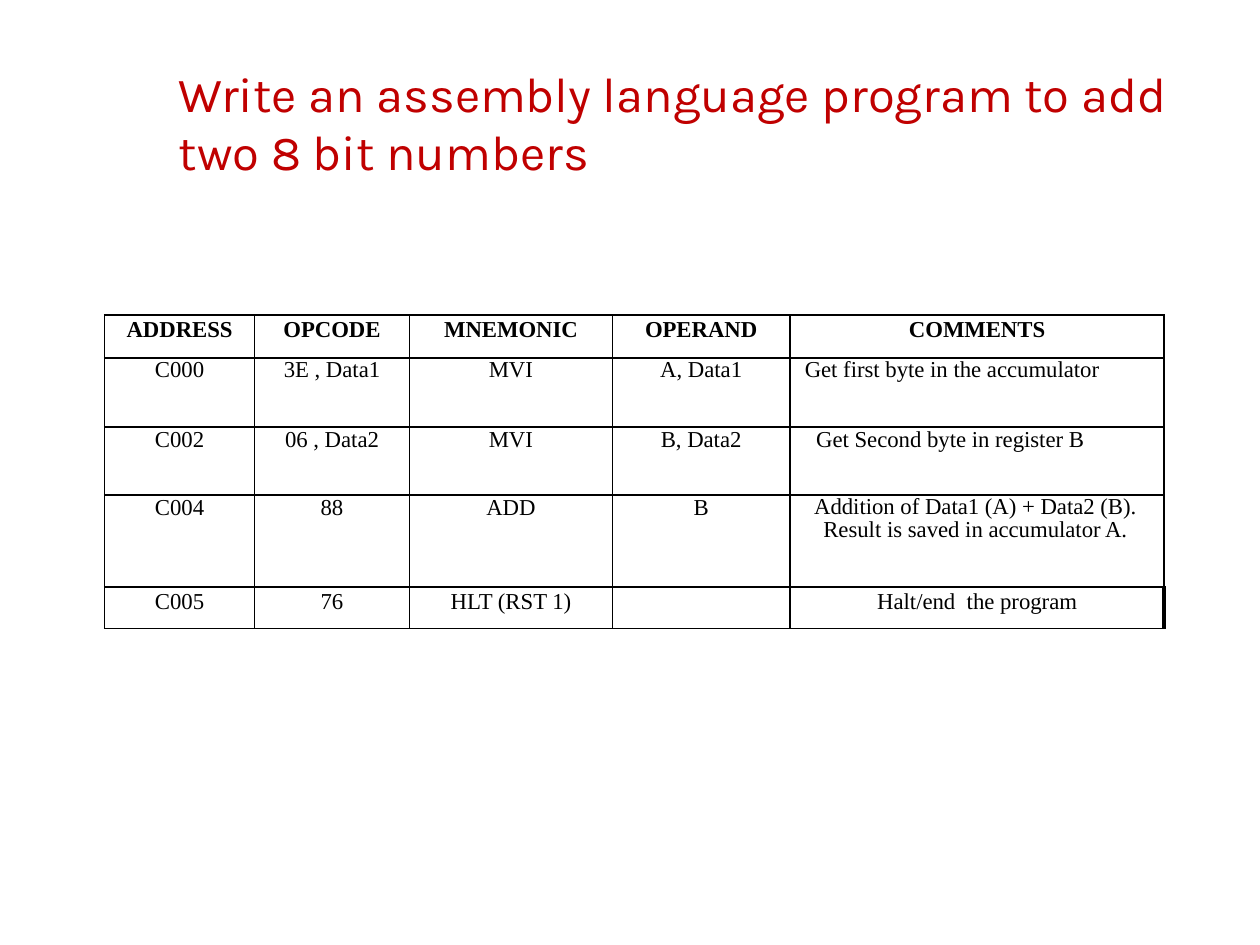
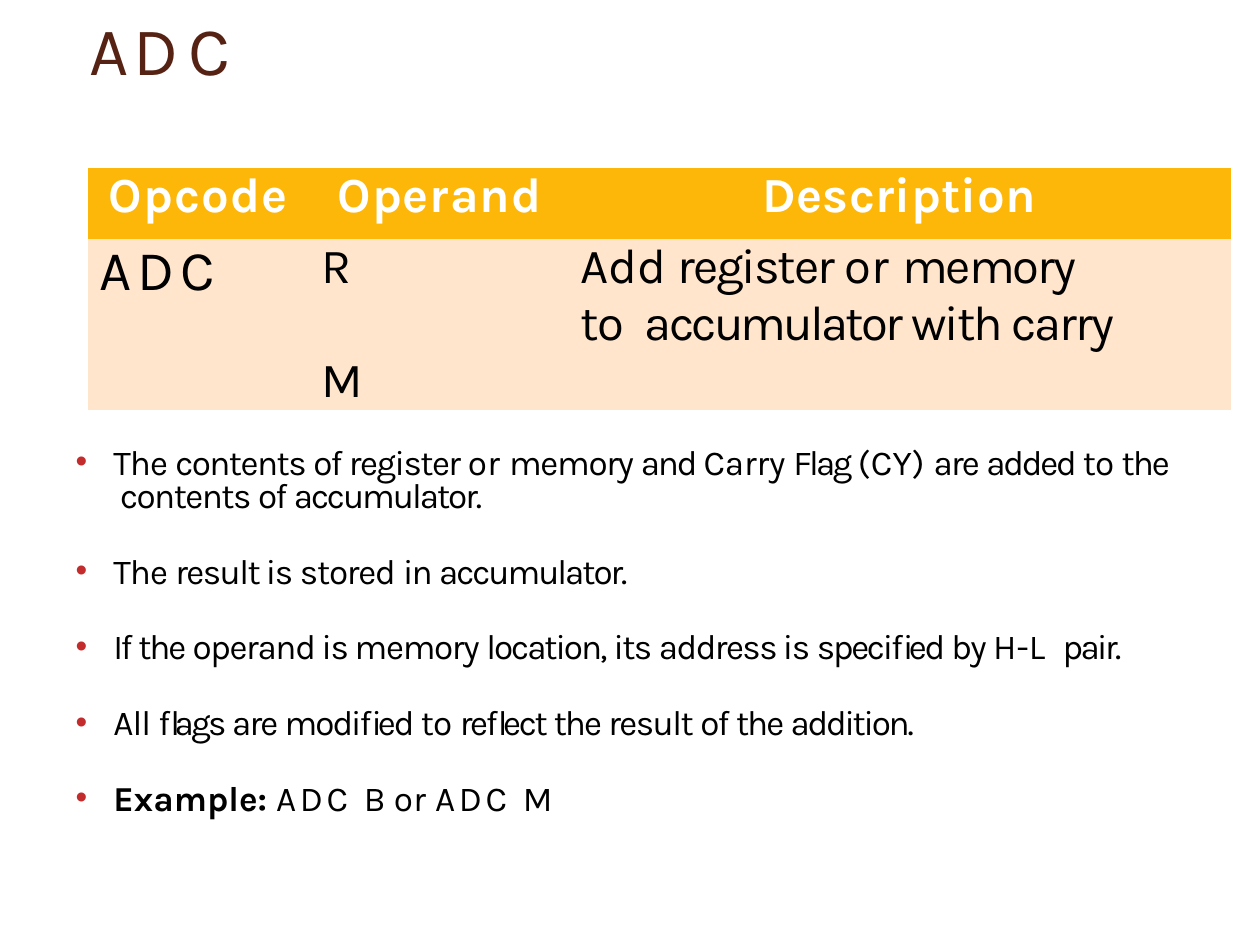
from pptx import Presentation
from pptx.dml.color import RGBColor
from pptx.enum.text import MSO_ANCHOR, MSO_AUTO_SIZE, PP_ALIGN
from pptx.oxml import parse_xml
from pptx.oxml.ns import nsdecls, qn
from pptx.util import Inches, Pt

SANS, SERIF = "Karla", "Times New Roman"
BLACK, WHITE, RED, BROWN = "000000", "FFFFFF", "C00000", "562213"
AMBER, PEACH, BULLET = "FDB709", "FFE5CC", "C22C2D"
PLAIN = "{2D5ABB26-0587-4C30-8999-92F81FD0307C}"
LEFT, MID = PP_ALIGN.LEFT, PP_ALIGN.CENTER


def shade(code):
    return RGBColor.from_string(code)


def write(para, text, size=20, font=SANS, color=BLACK, bold=False, gap=0,
          align=LEFT, before=0, line=None):
    para.alignment = align
    para.space_before = Pt(before)
    if line:
        para.line_spacing = line
    runs = [(text, gap)] if isinstance(text, str) else text
    for words, track, *heavy in runs:
        if words == "\n":
            para.add_line_break()
            continue
        run = para.add_run()
        run.text = words
        run.font.size, run.font.name = Pt(size), font
        run.font.bold = bool(heavy) or bold
        run.font.color.rgb = shade(color)
        run.font._element.set("spc", str(round(track * 100)))


class Deck:
    """Builds the slides of the deck in one shared style."""

    def __init__(self):
        self.show = Presentation()
        self.show.slide_width, self.show.slide_height = Inches(10), Inches(7.5)

    def page(self, layout):
        self.slide = self.show.slides.add_slide(self.show.slide_layouts[layout])

    def place(self, holder, box, top=0):
        holder.left, holder.top, holder.width, holder.height = map(Inches, box)
        frame = holder.text_frame
        frame.margin_left = frame.margin_right = frame.margin_bottom = 0
        frame.margin_top = Inches(top)
        frame.word_wrap = True
        frame.auto_size = MSO_AUTO_SIZE.NONE
        frame.vertical_anchor = MSO_ANCHOR.TOP
        return frame

    def title(self, text, box, **look):
        frame = self.place(self.slide.shapes.title, box)
        write(frame.paragraphs[0], text, **look)

    def bullets(self, items, box):
        frame = self.place(self.slide.placeholders[1], box, top=0.08)
        for i, item in enumerate(items):
            para = frame.add_paragraph() if i else frame.paragraphs[0]
            write(para, item, before=19.2 if i else 5.6,
                  line=None if i else Pt(19.2))
            props = para._p.get_or_add_pPr()
            props.set("marL", str(Inches(0.34)))
            props.set("indent", str(Inches(-0.3)))
            for mark in (f'<a:buClr {nsdecls("a")}><a:srgbClr val="{BULLET}"/></a:buClr>',
                         f'<a:buSzPct {nsdecls("a")} val="95000"/>',
                         f'<a:buChar {nsdecls("a")} char="•"/>'):
                props.append(parse_xml(mark))

    def table(self, spot, cols, rows):
        left, top = map(Inches, spot)
        frame = self.slide.shapes.add_table(
            len(rows), len(cols), left, top, Inches(sum(cols)), Inches(sum(rows)))
        for style in frame.element.iter(qn("a:tableStyleId")):
            style.text = PLAIN
        grid = frame.table
        for col, width in zip(grid.columns, cols):
            col.width = Inches(width)
        for row, height in zip(grid.rows, rows):
            row.height = Inches(height)
        return grid

    def cell(self, cell, paras, fill=None, left=0, right=0, **look):
        cell.margin_left, cell.margin_right = Inches(left), Inches(right)
        cell.margin_top = cell.margin_bottom = 0
        if fill:
            cell.fill.solid()
            cell.fill.fore_color.rgb = shade(fill)
        frame = cell.text_frame
        for i, (text, before) in enumerate(paras):
            para = frame.add_paragraph() if i else frame.paragraphs[0]
            write(para, text, before=before, **look)

    def border(self, cell, right=1):
        props = cell._tc.get_or_add_tcPr()
        for side, width in (("L", 1), ("R", right), ("T", 1), ("B", 1)):
            props.append(parse_xml(
                f'<a:ln{side} {nsdecls("a")} w="{Pt(width)}"><a:solidFill>'
                f'<a:srgbClr val="{BLACK}"/></a:solidFill></a:ln{side}>'))


def adding(deck):
    deck.page(5)
    deck.title("Write an assembly language program to add two 8 bit numbers",
               (1.42, 0.5, 8, 0.94), size=28, color=RED)
    rows = [
        ("ADDRESS", "OPCODE", "MNEMONIC", "OPERAND", "COMMENTS"),
        ("C000", "3E , Data1", "MVI", "A, Data1", "Get first byte in the accumulator"),
        ("C002", "06 , Data2", "MVI", "B, Data2", "Get Second byte in register B"),
        ("C004", "88", "ADD", "B",
         "Addition of Data1 (A) + Data2 (B). Result is saved in accumulator A."),
        ("C005", "76", "HLT (RST 1)", "", "Halt/end  the program"),
    ]
    drops = (0, 11.6, 11.9, 24.4, 0)
    lines = (Pt(15.9), None, None, None, Pt(15.4))
    insets = (0, 0.4, 0.43, 0.03, 0)
    grid = deck.table((0.83, 2.5), (1.19, 1.23, 1.61, 1.41, 2.97),
                      (0.34, 0.55, 0.54, 0.73, 0.33))
    for r, row in enumerate(rows):
        for c, text in enumerate(row):
            note = c == 4
            cell = grid.cell(r, c)
            deck.border(cell, right=3 if note and r == 4 else 1)
            deck.cell(cell, [(text, 0 if note else drops[r])] if text else [],
                      right=insets[r] if note else 0, size=13, font=SERIF,
                      bold=r == 0, align=MID,
                      line=0.95 if note and r == 3 else lines[r])


def carry(deck):
    deck.page(1)
    deck.title([("A", 3), ("D", 5.2), ("C", 4.2)], (0.71, 0.06, 1.18, 0.68),
               size=39, color=BROWN, before=1)
    grid = deck.table((0.7, 1.33), (1.72, 2.03, 5.32), (0.57, 1.03))
    heads = (("Opcode", 0.8, 0.16, LEFT), ("Operand", 0.6, 0.26, LEFT),
             ("Description", 0.2, 0.06, MID))
    for c, (text, gap, left, align) in enumerate(heads):
        deck.cell(grid.cell(0, c), [(text, 1.7)], AMBER, left, size=28,
                  color=WHITE, bold=True, gap=gap, align=align)
    about = [("Add ", -0.2), ("register ", -1.2), ("or ", 0.3), ("memory", -1.1),
             ("\n", 0), ("to  ", -0.8), ("accumulator ", -1.6), ("with ", -1.4),
             ("carry", -1.2)]
    deck.cell(grid.cell(1, 0), [("ADC", 1.4)], PEACH, 0.09, size=32, gap=3.4)
    deck.cell(grid.cell(1, 1), [("R", 3.7), ("M", 32.5)], PEACH, 0.13, size=28,
              line=Pt(32.5))
    deck.cell(grid.cell(1, 2), [(about, 3.7)], PEACH, 0.16, size=28, line=Pt(32.5))
    deck.bullets([
        [("The ", -0.6), ("contents ", -0.9), ("of ", -1.1), ("register ", -0.9),
         ("or ", 0.2), ("memory ", -0.8), ("and ", -1.3), ("Carry ", -0.1),
         ("Flag ", -1.6), ("(CY) ", 0.2), ("are ", -1.1), ("added ", -1.3),
         ("to ", -0.5), ("the", -1.2), ("\n", 0), (" contents ", -0.9),
         ("of ", -1.1), ("accumulator.", -1.2)],
        [("The ", -0.6), ("result is ", -0.9), ("stored ", -0.7), ("in ", -1.1),
         ("accumulator.", -1.2)],
        [("If ", -1.5), ("the ", -1.2), ("operand is memory ", -0.8),
         ("location, ", -1.2), ("its ", -1), ("address is ", -0.9),
         ("specified ", -1.3), ("by ", -1.1), ("H-L  ", 0.1), ("pair.", -1.5)],
        [("All ", -0.6), ("flags ", -1.6), ("are ", -1.1), ("modified ", -1.2),
         ("to ", -0.5), ("reflect ", -1.3), ("the ", -1.2), ("result ", -0.9),
         ("of ", -1.1), ("the ", -1.2), ("addition.", -1.3)],
        [("Example: ", 0, True), ("ADC ", 2.1), ("B ", -0.1), ("or ", 0.2),
         ("ADC ", 2.1), ("M", 1.4)],
    ], (0.56, 3.48, 8.77, 3.03))


def main():
    deck = Deck()
    adding(deck)
    carry(deck)
    deck.show.save("out.pptx")


if __name__ == "__main__":
    main()
